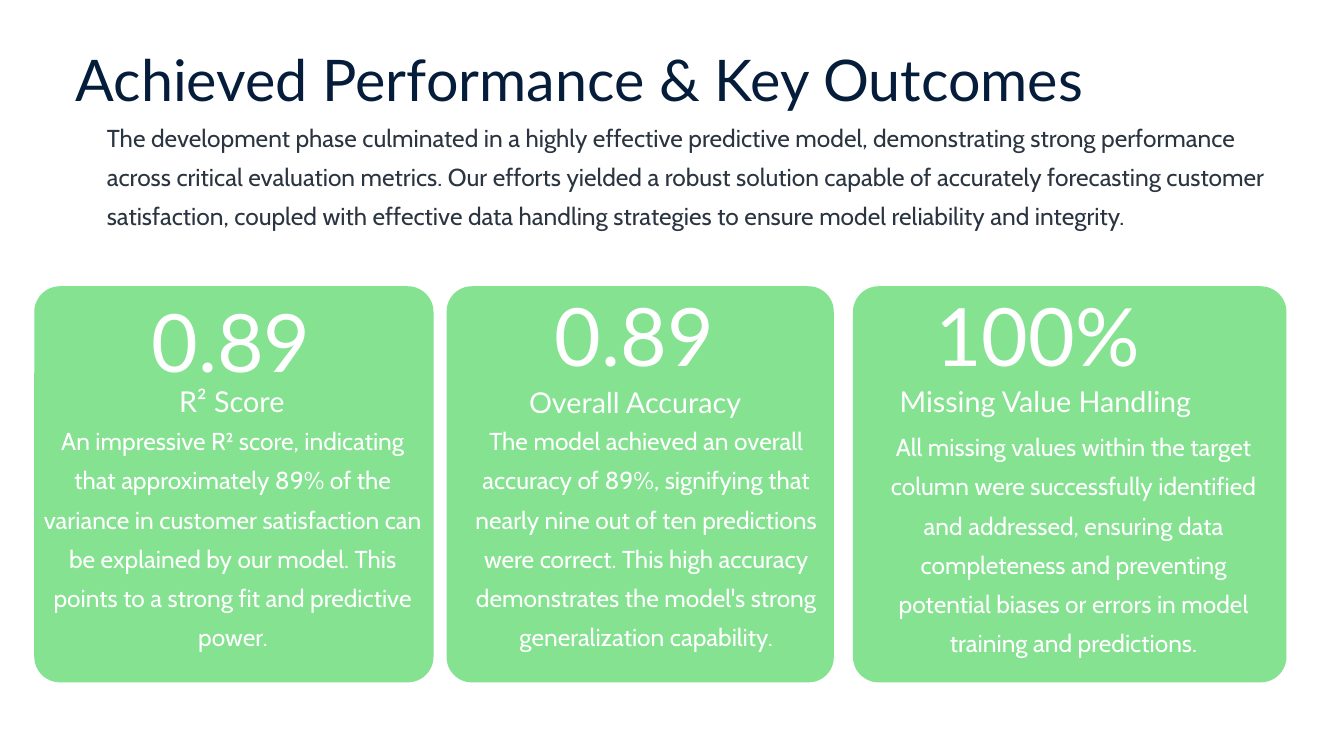
from dataclasses import dataclass

import pptx
import pptx.dml.color
import pptx.enum.shapes
import pptx.enum.text
import pptx.util

Inches = pptx.util.Inches
Align = pptx.enum.text.PP_ALIGN


@dataclass(frozen=True)
class TextStyle:
    font: str
    size: float
    line: float
    color: str
    align: Align = Align.CENTER


@dataclass(frozen=True)
class Theme:
    background: str = "FFFFFF"
    card: str = "84E291"
    corner: float = 0.065
    title: TextStyle = TextStyle("Lato", 41, 51.5, "051D3A", Align.LEFT)
    intro: TextStyle = TextStyle("Cabin", 17.5, 28, "2B3541", Align.LEFT)
    figure: TextStyle = TextStyle("Lato", 57.5, 57.5, "FFFFFF")
    label: TextStyle = TextStyle("Lato", 20.5, 25.5, "FFFFFF")
    detail: TextStyle = TextStyle("Cabin", 17.5, 28, "FFFFFF")


class SlideBuilder:
    def __init__(self, slide, theme):
        self.slide = slide
        self.theme = theme
        self.paint(slide.background.fill, theme.background)

    def paint(self, fill, color):
        fill.solid()
        fill.fore_color.rgb = pptx.dml.color.RGBColor.from_string(color)

    def card(self, left, top, width, height):
        shape = self.slide.shapes.add_shape(
            pptx.enum.shapes.MSO_SHAPE.ROUNDED_RECTANGLE,
            Inches(left), Inches(top), Inches(width), Inches(height))
        shape.adjustments[0] = self.theme.corner
        shape.shadow.inherit = False
        self.paint(shape.fill, self.theme.card)
        shape.line.fill.background()

    def text(self, words, style, left, top, width, height):
        shape = self.slide.shapes.add_textbox(
            Inches(left), Inches(top), Inches(width), Inches(height))
        frame = shape.text_frame
        frame.word_wrap = True
        frame.margin_left = frame.margin_right = 0
        frame.margin_top = frame.margin_bottom = 0
        paragraph = frame.paragraphs[0]
        paragraph.alignment = style.align
        paragraph.line_spacing = pptx.util.Pt(style.line)
        run = paragraph.add_run()
        run.text = words
        run.font.name = style.font
        run.font.size = pptx.util.Pt(style.size)
        self.paint(run.font.fill, style.color)

    def centered_text(self, words, style, center, top, width, height):
        self.text(words, style, center - width / 2, top, width, height)


OUTCOMES = [
    {
        "card": (0.34, 3.96),
        "figure": ("0.89", 2.29, 3.06),
        "label": ("R² Score", 2.3, 3.8),
        "detail": (
            "An impressive R² score, indicating that approximately 89% of the "
            "variance in customer satisfaction can be explained by our model. "
            "This points to a strong fit and predictive power.",
            0.41, 4.13, 3.8),
    },
    {
        "card": (4.43, 3.84),
        "figure": ("0.89", 6.29, 3),
        "label": ("Overall Accuracy", 6.3, 3.81),
        "detail": (
            "The model achieved an overall accuracy of 89%, signifying that "
            "nearly nine out of ten predictions were correct. This high accuracy "
            "demonstrates the model's strong generalization capability.",
            4.62, 4.13, 3.58),
    },
    {
        "card": (8.46, 4.3),
        "figure": ("100%", 10.29, 3),
        "label": ("Missing Value Handling", 10.37, 3.8),
        "detail": (
            "All missing values within the target column were successfully "
            "identified and addressed, ensuring data completeness and preventing "
            "potential biases or errors in model training and predictions.",
            8.73, 4.19, 3.84),
    },
]

INTRO = (
    "The development phase culminated in a highly effective predictive model, "
    "demonstrating strong performance across critical evaluation metrics. Our "
    "efforts yielded a robust solution capable of accurately forecasting customer "
    "satisfaction, coupled with effective data handling strategies to ensure model "
    "reliability and integrity.")


def main():
    presentation = pptx.Presentation()
    presentation.slide_width = Inches(13.33)
    presentation.slide_height = Inches(7.5)
    theme = Theme()
    builder = SlideBuilder(
        presentation.slides.add_slide(presentation.slide_layouts[6]), theme)

    builder.text("Achieved Performance & Key Outcomes", theme.title,
                 0.75, 0.41, 11, 0.66)
    builder.text(INTRO, theme.intro, 1.06, 1.12, 11.52, 1.08)

    for outcome in OUTCOMES:
        left, width = outcome["card"]
        builder.card(left, 2.84, width, 3.93)
        words, center, top = outcome["figure"]
        builder.centered_text(words, theme.figure, center, top, 2.4, 0.74)
        words, center, top = outcome["label"]
        builder.centered_text(words, theme.label, center, top, 3.2, 0.33)
        words, left, top, width = outcome["detail"]
        builder.text(words, theme.detail, left, top, width, 2.4)

    presentation.save("out.pptx")


if __name__ == "__main__":
    main()
